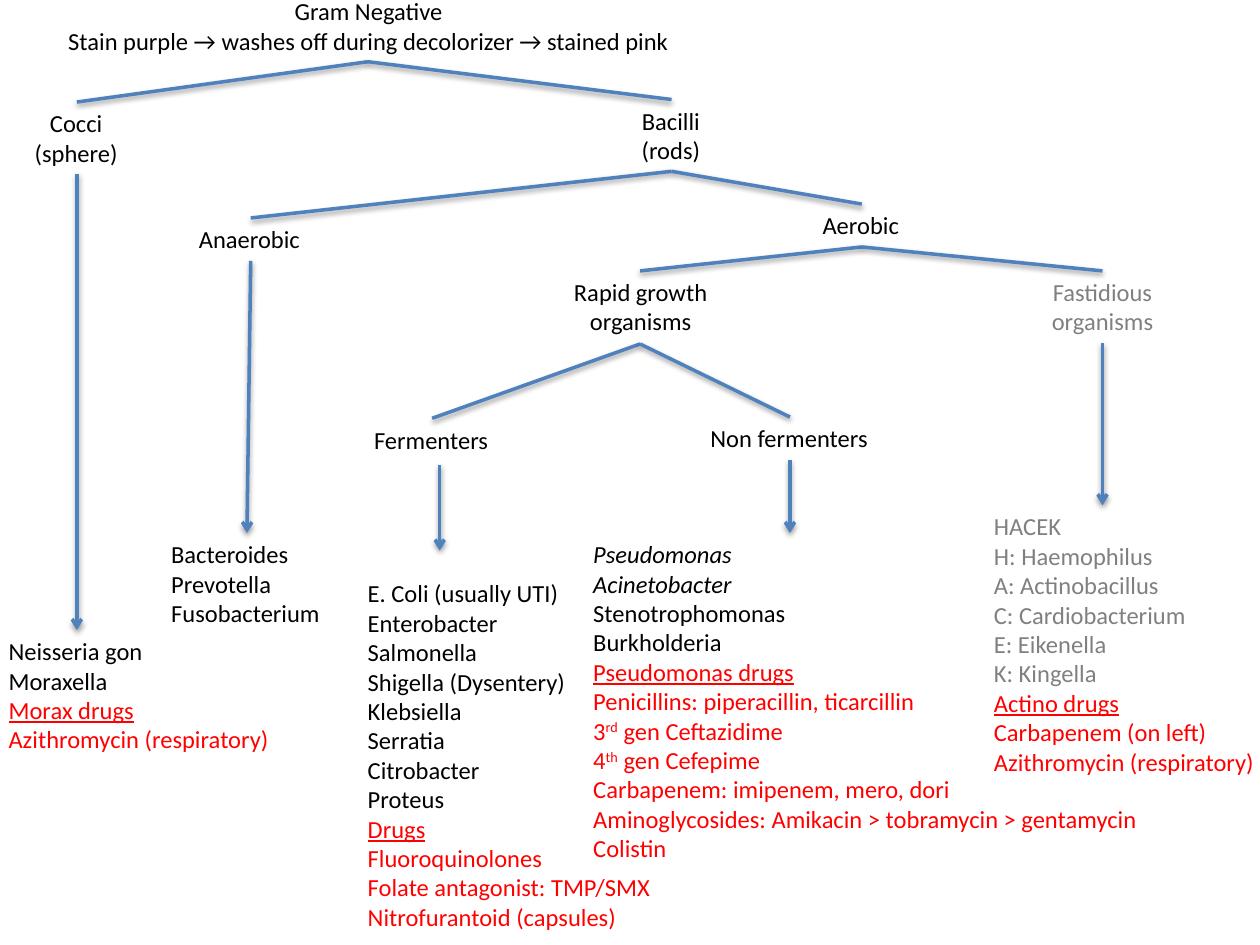
"""Draw a decision tree of Gram negative bacteria and the drugs that treat them."""
from typing import NamedTuple

from lxml import etree
from pptx import Presentation
from pptx.dml.color import RGBColor
from pptx.enum.shapes import MSO_CONNECTOR
from pptx.enum.text import MSO_AUTO_SIZE, PP_ALIGN
from pptx.oxml.ns import qn
from pptx.util import Inches, Pt

STRAIGHT = MSO_CONNECTOR.STRAIGHT
FIT_TEXT = MSO_AUTO_SIZE.SHAPE_TO_FIT_TEXT
LEFT, CENTER = PP_ALIGN.LEFT, PP_ALIGN.CENTER

BLACK, GRAY, RED, BLUE = "000000", "808080", "FF0000", "4F81BD"
LINE_HEIGHT, BOX_MARGINS = 0.235, 0.1


class Line(NamedTuple):
    """One line of text, with superscripts between carets."""

    text: str
    color: str = BLACK
    italic: bool = False
    underline: bool = False


class Group(NamedTuple):
    """A group of lines at one place in the tree."""

    left: float
    top: float
    width: float
    lines: list[Line]
    align: PP_ALIGN = LEFT


class Branch(NamedTuple):
    """Lines that run from one point to one or more points."""

    start: tuple[float, float]
    ends: list[tuple[float, float]]
    arrow: bool = False


def plain(*texts: str, color: str = BLACK, italic: bool = False) -> list[Line]:
    """Return lines that share one style."""
    return [Line(text, color, italic) for text in texts]


def drugs(heading: str, *names: str) -> list[Line]:
    """Return an underlined drug heading and its drugs."""
    return [Line(heading, RED, underline=True), *plain(*names, color=RED)]


GROUPS = [
    Group(0.4, -0.08, 5.05, plain(
        "Gram Negative",
        "Stain purple → washes off during decolorizer → stained pink"), CENTER),
    Group(0.17, 0.81, 0.87, plain("Cocci", "(sphere)"), CENTER),
    Group(4.99, 0.79, 0.67, plain("Bacilli", "(rods)"), CENTER),
    Group(1.48, 1.73, 1.02, plain("Anaerobic")),
    Group(6.43, 1.62, 0.82, plain("Aerobic")),
    Group(4.45, 2.15, 1.27, plain("Rapid growth", "organisms"), CENTER),
    Group(8.24, 2.15, 1.02, plain("Fastidious", "organisms", color=GRAY), CENTER),
    Group(2.87, 3.32, 1.12, plain("Fermenters")),
    Group(5.54, 3.31, 1.47, plain("Non fermenters")),
    Group(-0.03, 5, 2.3,
          plain("Neisseria gon", "Moraxella")
          + drugs("Morax drugs", "Azithromycin (respiratory)")),
    Group(1.26, 4.23, 1.39, plain("Bacteroides", "Prevotella", "Fusobacterium")),
    Group(2.82, 4.54, 2.48,
          plain("E. Coli (usually UTI)", "Enterobacter", "Salmonella",
                "Shigella (Dysentery)", "Klebsiella", "Serratia",
                "Citrobacter", "Proteus")
          + drugs("Drugs", "Fluoroquinolones", "Folate antagonist: TMP/SMX",
                  "Nitrofurantoid (capsules)")),
    Group(4.61, 4.23, 4.59,
          plain("Pseudomonas", "Acinetobacter", italic=True)
          + plain("Stenotrophomonas", "Burkholderia")
          + drugs("Pseudomonas drugs", "Penicillins: piperacillin, ticarcillin",
                  "3^rd^ gen Ceftazidime", "4^th^ gen Cefepime",
                  "Carbapenem: imipenem, mero, dori",
                  "Aminoglycosides: Amikacin > tobramycin > gentamycin",
                  "Colistin")),
    Group(7.79, 4.01, 2.3,
          plain("HACEK", "H: Haemophilus", "A: Actinobacillus",
                "C: Cardiobacterium", "E: Eikenella", "K: Kingella", color=GRAY)
          + drugs("Actino drugs", "Carbapenem (on left)",
                  "Azithromycin (respiratory)")),
]

BRANCHES = [
    Branch((2.92, 0.49), [(0.61, 0.81), (5.33, 0.79)]),
    Branch((5.33, 1.36), [(1.99, 1.73), (6.84, 1.62)]),
    Branch((6.84, 1.96), [(5.08, 2.15), (8.75, 2.15)]),
    Branch((5.08, 2.73), [(3.43, 3.32), (6.27, 3.31)]),
    Branch((0.61, 1.38), [(0.61, 5)], arrow=True),
    Branch((1.99, 2.07), [(1.96, 4.23)], arrow=True),
    Branch((3.49, 3.69), [(3.49, 4.37)], arrow=True),
    Branch((6.27, 3.65), [(6.27, 4.23)], arrow=True),
    Branch((8.75, 2.72), [(8.75, 4.01)], arrow=True),
]


def rgb(color: str) -> RGBColor:
    """Return the colour of a hex string."""
    return RGBColor.from_string(color)


def add_line_text(paragraph, line: Line) -> None:
    """Add the runs of a line, raising the parts between carets."""
    for index, part in enumerate(line.text.split("^")):
        run = paragraph.add_run()
        run.text = part
        font = run.font
        font.name, font.size = "Calibri", Pt(14)
        font.italic, font.underline = line.italic, line.underline
        font.color.rgb = rgb(line.color)
        if index % 2:
            run._r.get_or_add_rPr().set("baseline", "30000")


def draw_group(slide, group: Group) -> None:
    """Draw a group of lines in a box that fits them."""
    height = BOX_MARGINS + LINE_HEIGHT * len(group.lines)
    box = slide.shapes.add_textbox(Inches(group.left), Inches(group.top),
                                   Inches(group.width), Inches(height))
    frame = box.text_frame
    frame.word_wrap = False
    frame.auto_size = FIT_TEXT
    for index, line in enumerate(group.lines):
        paragraph = frame.add_paragraph() if index else frame.paragraphs[0]
        paragraph.alignment = group.align
        add_line_text(paragraph, line)


def add_shadow(connector) -> None:
    """Give a connector a soft shadow below it."""
    effects = etree.SubElement(connector._element.spPr, qn("a:effectLst"))
    shadow = etree.SubElement(effects, qn("a:outerShdw"), blurRad=str(Pt(3.1)),
                              dist=str(Pt(1.6)), dir="5400000", rotWithShape="0")
    tint = etree.SubElement(shadow, qn("a:srgbClr"), val=BLACK)
    etree.SubElement(tint, qn("a:alpha"), val="38000")


def draw_branch(slide, branch: Branch) -> None:
    """Draw each line of a branch, with an arrowhead if it leads to a list."""
    for end in branch.ends:
        connector = slide.shapes.add_connector(
            STRAIGHT, *(Inches(value) for value in branch.start + end))
        connector.line.color.rgb = rgb(BLUE)
        connector.line.width = Pt(2)
        if branch.arrow:
            etree.SubElement(connector.line._get_or_add_ln(), qn("a:tailEnd"),
                             type="arrow")
        add_shadow(connector)


def main() -> None:
    """Build the slide and save it."""
    deck = Presentation()
    deck.slide_width, deck.slide_height = Inches(10), Inches(7.5)
    slide = deck.slides.add_slide(deck.slide_layouts[6])
    for group in GROUPS:
        draw_group(slide, group)
    for branch in BRANCHES:
        draw_branch(slide, branch)
    deck.save("out.pptx")


if __name__ == "__main__":
    main()
